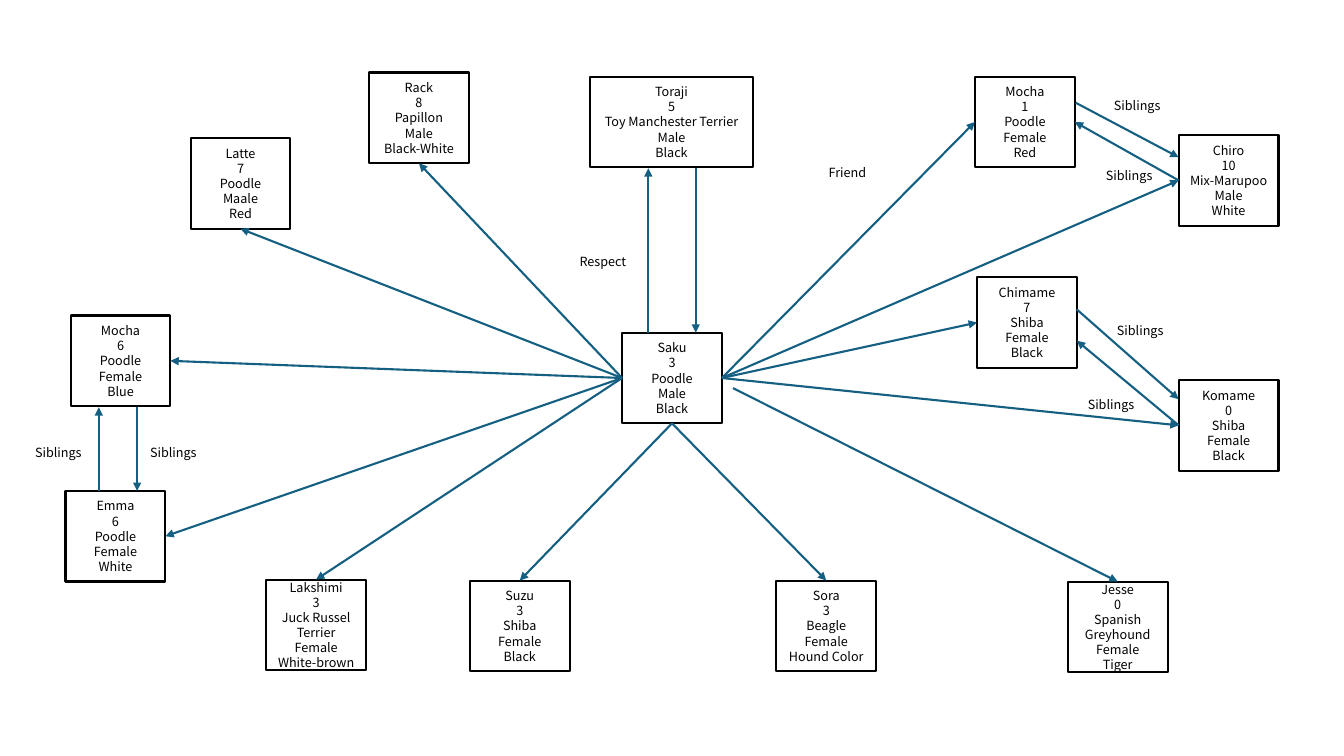
from copy import deepcopy

from lxml import etree
from pptx import Presentation
from pptx.dml.color import RGBColor
from pptx.enum import shapes, text
from pptx.oxml.ns import qn
from pptx.util import Inches, Pt

BLACK = RGBColor(0x00, 0x00, 0x00)
WHITE = RGBColor(0xFF, 0xFF, 0xFF)
TEAL = RGBColor(0x15, 0x60, 0x82)
FONT = "Noto Sans CJK JP"
TOP, LEFT, BOTTOM, RIGHT = range(4)


def write(tf, paragraphs, size=9, color=BLACK, align=text.PP_ALIGN.LEFT):
    tf.word_wrap = True
    for i, line in enumerate(paragraphs):
        p = tf.add_paragraph() if i else tf.paragraphs[0]
        p.text = line
        p.alignment = align
        for r in p.runs:
            r.font.name, r.font.size = FONT, Pt(size)
            r.font.color.rgb = color
        # Line breaks take the same format as the runs
        for br in p._p.findall(qn("a:br")):
            br.append(deepcopy(p.runs[0]._r.rPr))


prs = Presentation()
prs.slide_width, prs.slide_height = Inches(13.33), Inches(7.5)
s = prs.slides.add_slide(prs.slide_layouts[6])

# Dogs: key, left, top, width, name, age, breed, sex and colour
dogs = [
    ("saku", 6.17, 3.3, 0.99, "Saku", "3", "Poodle", "Male\nBlack"),
    ("toraji", 5.85, 0.76, 1.62, "Toraji", "5", "Toy Manchester Terrier", "Male\nBlack"),
    ("red mocha", 9.67, 0.76, 0.99, "Mocha", "1", "Poodle", "Female\nRed"),
    ("chiro", 11.69, 1.34, 0.99, "Chiro", "10", "Mix-Marupoo", "Male\nWhite"),
    ("chimame", 9.69, 2.75, 0.99, "Chimame", "7", "Shiba", "Female\nBlack"),
    ("komame", 11.69, 3.77, 0.99, "Komame", "0", "Shiba", "Female\nBlack"),
    ("jesse", 10.59, 5.77, 0.99, "Jesse", "0", "Spanish Greyhound", "Female\nTiger"),
    ("sora", 7.7, 5.76, 0.99, "Sora", "3", "Beagle", "Female\nHound Color"),
    ("suzu", 4.66, 5.76, 0.99, "Suzu", "3", "Shiba", "Female\nBlack"),
    ("lakshimi", 2.64, 5.75, 0.99, "Lakshimi", "3", "Juck Russel Terrier", "Female\nWhite-brown"),
    ("blue mocha", 0.7, 3.13, 0.99, "Mocha", "6", "Poodle", "Female\nBlue"),
    ("emma", 0.65, 4.87, 0.99, "Emma", "6", "Poodle", "Female\nWhite"),
    ("latte", 1.89, 1.37, 0.99, "Latte", "7", "Poodle", "Maale\nRed"),
    ("rack", 3.66, 0.72, 0.99, "Rack", "8", "Papillon", "Male\nBlack-White"),
]
boxes = {}
for key, x, y, w, *facts in dogs:
    sp = s.shapes.add_shape(shapes.MSO_SHAPE.RECTANGLE,
                            Inches(x), Inches(y), Inches(w), Inches(0.9))
    sp.shadow.inherit = False
    sp.fill.solid()
    sp.fill.fore_color.rgb = WHITE
    sp.line.color.rgb = BLACK
    sp.line.width = Pt(1.5)
    sp.text_frame.vertical_anchor = text.MSO_ANCHOR.MIDDLE
    write(sp.text_frame, facts, align=text.PP_ALIGN.CENTER)
    boxes[key] = sp

# Arrows: each end is a point (x, y) or the side of a dog's box (key, side)
arrows = [
    ((10.67, 1.02), (11.69, 1.56)),
    (("chiro", LEFT), ("red mocha", RIGHT)),
    ((10.68, 3.07), (11.69, 3.96)),
    (("komame", LEFT), (10.68, 3.38)),
    ((1.36, 4.04), (1.36, 4.87)),
    ((0.98, 4.87), (0.98, 4.04)),
    ((6.9, 1.67), (6.9, 3.3)),
    ((6.43, 3.3), (6.43, 1.67)),
    ((7.27, 3.85), ("jesse", TOP)),
]
# Saku's own arrows: side of Saku, then the dogs and sides reached
saku_arrows = {
    RIGHT: [("red mocha", LEFT), ("chiro", LEFT), ("chimame", LEFT), ("komame", LEFT)],
    BOTTOM: [("sora", TOP), ("suzu", TOP)],
    LEFT: [("lakshimi", TOP), ("emma", RIGHT), ("blue mocha", RIGHT),
           ("latte", BOTTOM), ("rack", BOTTOM)],
}
for side, targets in saku_arrows.items():
    arrows += [(("saku", side), target) for target in targets]

for ends in arrows:
    points = [(0, 0) if end[0] in boxes else end for end in ends]
    cn = s.shapes.add_connector(shapes.MSO_CONNECTOR.STRAIGHT,
                                *[Inches(v) for point in points for v in point])
    for end, connect in zip(ends, (cn.begin_connect, cn.end_connect)):
        if end[0] in boxes:
            connect(boxes[end[0]], end[1])
    cn.line.color.rgb = TEAL
    cn.line.width = Pt(1.5)
    etree.SubElement(cn.line._get_or_add_ln(), qn("a:tailEnd"), type="triangle")
    etree.SubElement(cn._element.spPr, qn("a:effectLst"))

# Relationship labels
labels = [
    ("Siblings", 10.95, 0.92), ("Siblings", 10.87, 1.62),
    ("Siblings", 10.98, 3.15), ("Siblings", 10.69, 3.89),
    ("Siblings", 0.25, 4.36), ("Siblings", 1.39, 4.36),
    ("Respect", 5.65, 2.47), ("Friend", 8.12, 1.59),
]
for label, x, y in labels:
    tb = s.shapes.add_textbox(Inches(x), Inches(y), Inches(0.72), Inches(0.25))
    tb.text_frame.auto_size = text.MSO_AUTO_SIZE.SHAPE_TO_FIT_TEXT
    write(tb.text_frame, [label])

prs.save("out.pptx")
